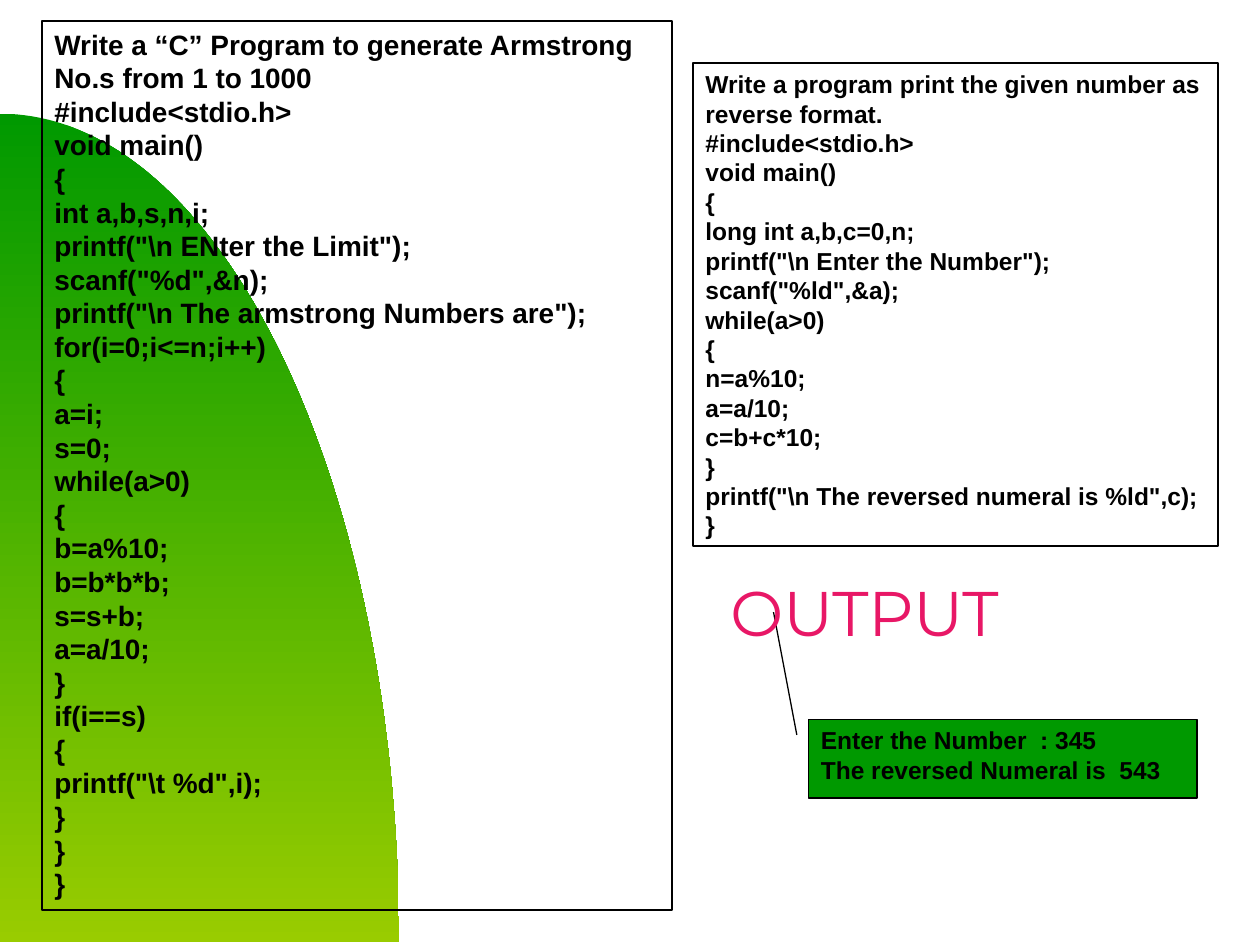
from pptx import Presentation
from pptx.dml.color import RGBColor
from pptx.enum.shapes import MSO_SHAPE
from pptx.enum.text import MSO_ANCHOR, PP_ALIGN
from pptx.util import Pt

RECT, CALLOUT = MSO_SHAPE.RECTANGLE, MSO_SHAPE.LINE_CALLOUT_1
TOP = MSO_ANCHOR.TOP
LEFT, CENTER = PP_ALIGN.LEFT, PP_ALIGN.CENTER
BLACK, GREEN, LIME, PINK = "000000", "009900", "99CC00", "E81766"

ARMSTRONG = r"""Write a “C” Program to generate Armstrong No.s from 1 to 1000
#include<stdio.h>
void main()
{
int a,b,s,n,i;
printf("\n ENter the Limit");
scanf("%d",&n);
printf("\n The armstrong Numbers are");
for(i=0;i<=n;i++)
{
a=i;
s=0;
while(a>0)
{
b=a%10;
b=b*b*b;
s=s+b;
a=a/10;
}
if(i==s)
{
printf("\t %d",i);
}
}
}"""

REVERSE = r"""Write a program print the given number as reverse format.
#include<stdio.h>
void main()
{
long int a,b,c=0,n;
printf("\n Enter the Number");
scanf("%ld",&a);
while(a>0)
{
n=a%10;
a=a/10;
c=b+c*10;
}
printf("\n The reversed numeral is %ld",c);
}"""

RESULT = """Enter the Number  : 345
The reversed Numeral is  543"""


def rgb(color):
    """Return a colour from a hex string."""
    return RGBColor.from_string(color)


def write(tf, text, size=14, font="Arial", color=BLACK, bold=True,
          align=LEFT, wrap=True, leading=1.2):
    """Write each line of text as a paragraph in one format."""
    tf.word_wrap = wrap
    tf.vertical_anchor = TOP
    for i, line in enumerate(text.split("\n")):
        p = tf.add_paragraph() if i else tf.paragraphs[0]
        p.alignment = align
        if leading:
            p.line_spacing = Pt(size * leading)
        r = p.add_run()
        r.text = line
        r.font.name, r.font.size, r.font.bold = font, Pt(size), bold
        r.font.color.rgb = rgb(color)


def add_box(s, box, text, kind=RECT, fill=None, **fmt):
    """Add an outlined shape holding lines of text."""
    sp = s.shapes.add_shape(kind, *map(Pt, box))
    sp.shadow.inherit = False
    if fill:
        sp.fill.solid()
        sp.fill.fore_color.rgb = rgb(fill)
    else:
        sp.fill.background()
    sp.line.color.rgb = rgb(BLACK)
    sp.line.width = Pt(0.75)
    write(sp.text_frame, text, **fmt)
    return sp


def add_label(s, box, text, **fmt):
    """Add a plain text box."""
    sp = s.shapes.add_textbox(*map(Pt, box))
    write(sp.text_frame, text, **fmt)


def bezier(points, t):
    """Return the point at t on a cubic curve."""
    u = 1 - t
    weights = (u ** 3, 3 * u * u * t, 3 * u * t * t, t ** 3)
    return tuple(Pt(sum(w * pt[k] for w, pt in zip(weights, points)))
                 for k in (0, 1))


def add_arc(s, curve, top_color, bottom_color, steps=80):
    """Add a gradient area between a curve and the left slide edge."""
    pts = [bezier(curve, i / steps) for i in range(steps + 1)]
    fb = s.shapes.build_freeform(*pts[0])
    fb.add_line_segments(pts[1:] + [(pts[0][0], pts[-1][1])], close=True)
    sp = fb.convert_to_shape()
    sp.shadow.inherit = False
    sp.line.fill.background()
    sp.fill.gradient()
    sp.fill.gradient_angle = 270
    stops = zip(sp.fill.gradient_stops, (top_color, bottom_color), (0, 1))
    for stop, color, position in stops:
        stop.color.rgb = rgb(color)
        stop.position = position


def main():
    """Build the slide and save it."""
    prs = Presentation()
    prs.slide_width, prs.slide_height = Pt(720), Pt(540)
    s = prs.slides.add_slide(prs.slide_layouts[6])
    add_arc(s, [(0, 65), (126, 65), (228, 277), (228, 538.5)], GREEN, LIME)
    add_box(s, (24, 12, 360, 508), ARMSTRONG, size=16)
    add_box(s, (396, 36, 300, 276), REVERSE)
    callout = add_box(s, (462, 411, 222, 45), RESULT, kind=CALLOUT, fill=GREEN)
    for i, value in enumerate((0.2, -0.03, -1.36, -0.09)):
        callout.adjustments[i] = value
    add_label(s, (410, 324, 168, 30), "OUTPUT", size=36, font="Montserrat",
              color=PINK, bold=False, align=CENTER, wrap=False, leading=None)
    prs.save("out.pptx")


if __name__ == "__main__":
    main()
